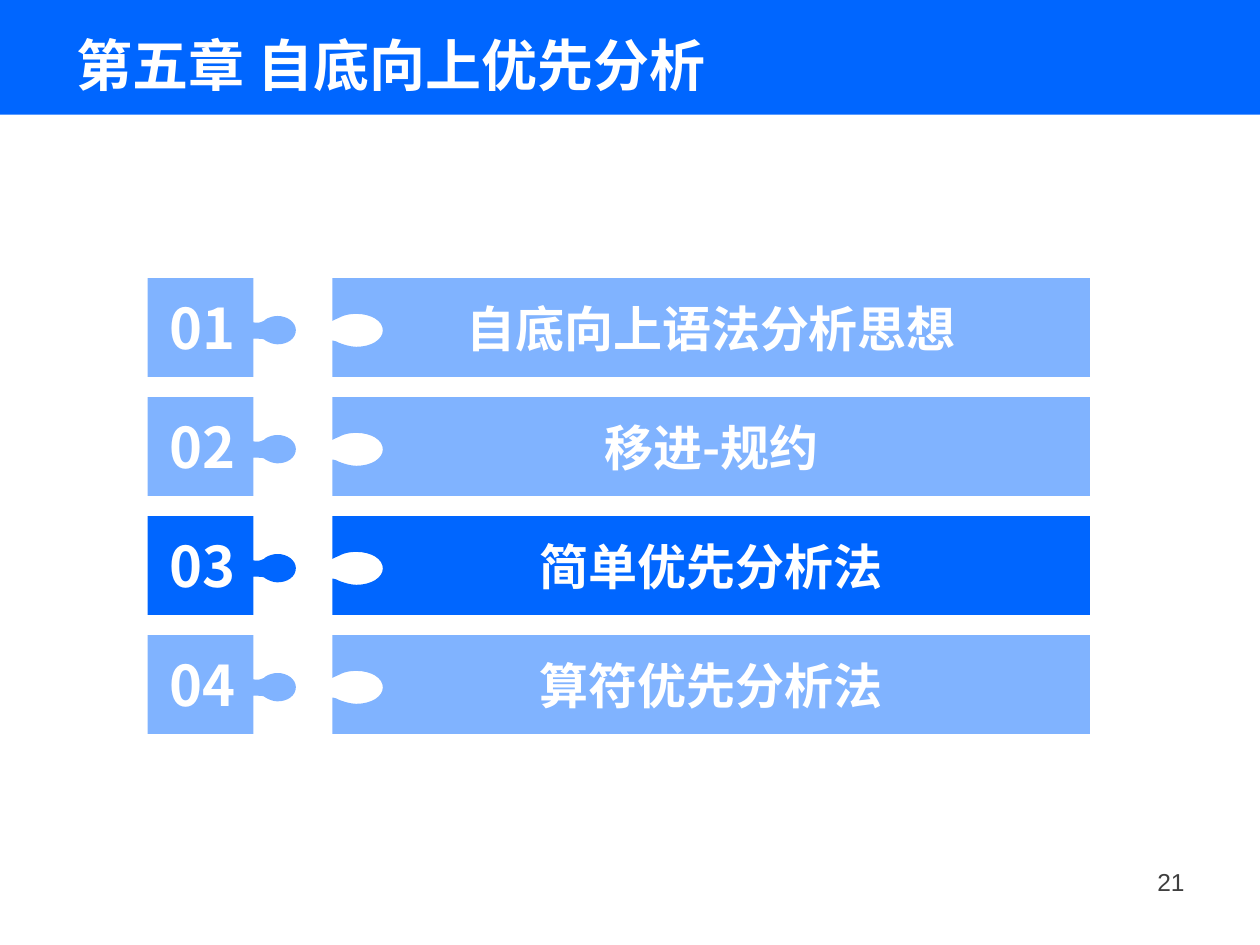
"""Builds a chapter outline slide with four rows of jigsaw pieces."""
from lxml import etree
from pptx import Presentation
from pptx import util as u
from pptx.dml.color import RGBColor
from pptx.enum import shapes, text
from pptx.oxml import ns

BLUE = RGBColor(0x00, 0x66, 0xFF)
LIGHT_BLUE = RGBColor(0x80, 0xB3, 0xFF)
WHITE = RGBColor(0xFF, 0xFF, 0xFF)
GREY = RGBColor(0x3F, 0x3F, 0x3F)
CJK_FONT = "Noto Sans CJK SC"


def write(shape, words, size, color, font, bold, align, anchor):
    frame = shape.text_frame
    frame.word_wrap = True
    frame.vertical_anchor = anchor
    paragraph = frame.paragraphs[0]
    paragraph.alignment = align
    run = paragraph.add_run()
    run.text = words
    run.font.size = u.Pt(size)
    run.font.bold = bold
    run.font.color.rgb = color
    run.font.name = font
    east_asian = etree.SubElement(run.font._element, ns.qn("a:ea"))
    east_asian.set("typeface", CJK_FONT)


def add_piece(left, top, corners, edge_start, edge_curves, color):
    points = corners + [edge_start]
    start = edge_start
    for first, second, end in edge_curves:
        for step in range(1, 9):
            t = step / 8
            weights = ((1 - t) ** 3, 3 * t * (1 - t) ** 2, 3 * t * t * (1 - t), t ** 3)
            controls = (start, first, second, end)
            points.append(tuple(sum(w * c[axis] for w, c in zip(weights, controls)) for axis in (0, 1)))
        start = end
    outline = [(u.Pt(left + x), u.Pt(top + y)) for x, y in points]
    builder = slide.shapes.build_freeform(*outline[0])
    builder.add_line_segments(outline[1:], close=True)
    piece = builder.convert_to_shape()
    piece.shadow.inherit = False
    piece.fill.solid()
    piece.fill.fore_color.rgb = color
    piece.line.fill.background()
    return piece


presentation = Presentation()
presentation.slide_width = u.Pt(720)
presentation.slide_height = u.Pt(540)
slide = presentation.slides.add_slide(presentation.slide_layouts[6])

header = slide.shapes.add_shape(shapes.MSO_SHAPE.RECTANGLE, 0, 0, u.Pt(723), u.Pt(65.5))
header.shadow.inherit = False
header.fill.solid()
header.fill.fore_color.rgb = BLUE
header.line.fill.background()

title = slide.shapes.add_textbox(u.Pt(36.7), u.Pt(8.6), u.Pt(647), u.Pt(56.2))
write(title, "第五章 自底向上优先分析", 32, WHITE, "Arial", True,
      text.PP_ALIGN.LEFT, text.MSO_ANCHOR.MIDDLE)

HEIGHT = 56.4
NUMBER_WIDTH = 60.4
TOPIC_WIDTH = 432.8
number_corners = [(NUMBER_WIDTH, 0), (0, 0), (0, HEIGHT), (NUMBER_WIDTH, HEIGHT)]
topic_corners = [(0, HEIGHT), (TOPIC_WIDTH, HEIGHT), (TOPIC_WIDTH, 0), (0, 0)]
knob_start = (NUMBER_WIDTH, 34.6)
knob_curves = [
    ((61.9, 34.6), (61.9, 34.6), (62.6, 34.6)),
    ((64.1, 34.6), (66.2, 34.6), (67, 35.3)),
    ((67.7, 36), (71.3, 37.8), (74.2, 37.8)),
    ((79.9, 37.8), (84.7, 34.6), (84.7, 29.7)),
    ((84.7, 25.2), (79.9, 21.6), (74.2, 21.6)),
    ((72, 21.6), (69.1, 22.5), (67.7, 23.4)),
    ((67, 23.8), (67, 24.1), (66.2, 24.5)),
    ((65.5, 24.8), (64.1, 25.4), (63.4, 25.4)),
    ((61.9, 25.4), (61.2, 25.4), (NUMBER_WIDTH, 25.2)),
]
socket_start = (0, 24.4)
socket_curves = [
    ((0.7, 24), (1.4, 23.7), (2.2, 23.3)),
    ((2.9, 23), (3.6, 22.7), (4, 22.5)),
    ((6.5, 21.2), (9.4, 20.4), (13.7, 20.4)),
    ((22.3, 20.4), (28.8, 24.5), (28.8, 29.8)),
    ((28.8, 35), (22.3, 39.2), (13.7, 39.2)),
    ((9.4, 39.2), (4, 37.1), (2.9, 36.5)),
    ((2.2, 36.1), (1.4, 35.9), (0, 35.6)),
]

topics = [
    ("自底向上语法分析思想", LIGHT_BLUE),
    ("移进-规约", LIGHT_BLUE),
    ("简单优先分析法", BLUE),
    ("算符优先分析法", LIGHT_BLUE),
]
for index, (topic, color) in enumerate(topics):
    top = 159 + 68 * index
    number_piece = add_piece(84.4, top, number_corners, knob_start, knob_curves, color)
    number_piece.text_frame.margin_left = 0
    number_piece.text_frame.margin_right = u.Pt(22.3)
    topic_piece = add_piece(190, top, topic_corners, socket_start, socket_curves, color)
    for piece, words, size in ((number_piece, f"{index + 1:02d}", 32), (topic_piece, topic, 28)):
        write(piece, words, size, WHITE, CJK_FONT, True,
              text.PP_ALIGN.CENTER, text.MSO_ANCHOR.MIDDLE)

page_number = slide.shapes.add_textbox(u.Pt(516), u.Pt(492), u.Pt(168), u.Pt(37.5))
write(page_number, "21", 14, GREY, "Arial", False, text.PP_ALIGN.RIGHT, text.MSO_ANCHOR.TOP)

presentation.save("out.pptx")
